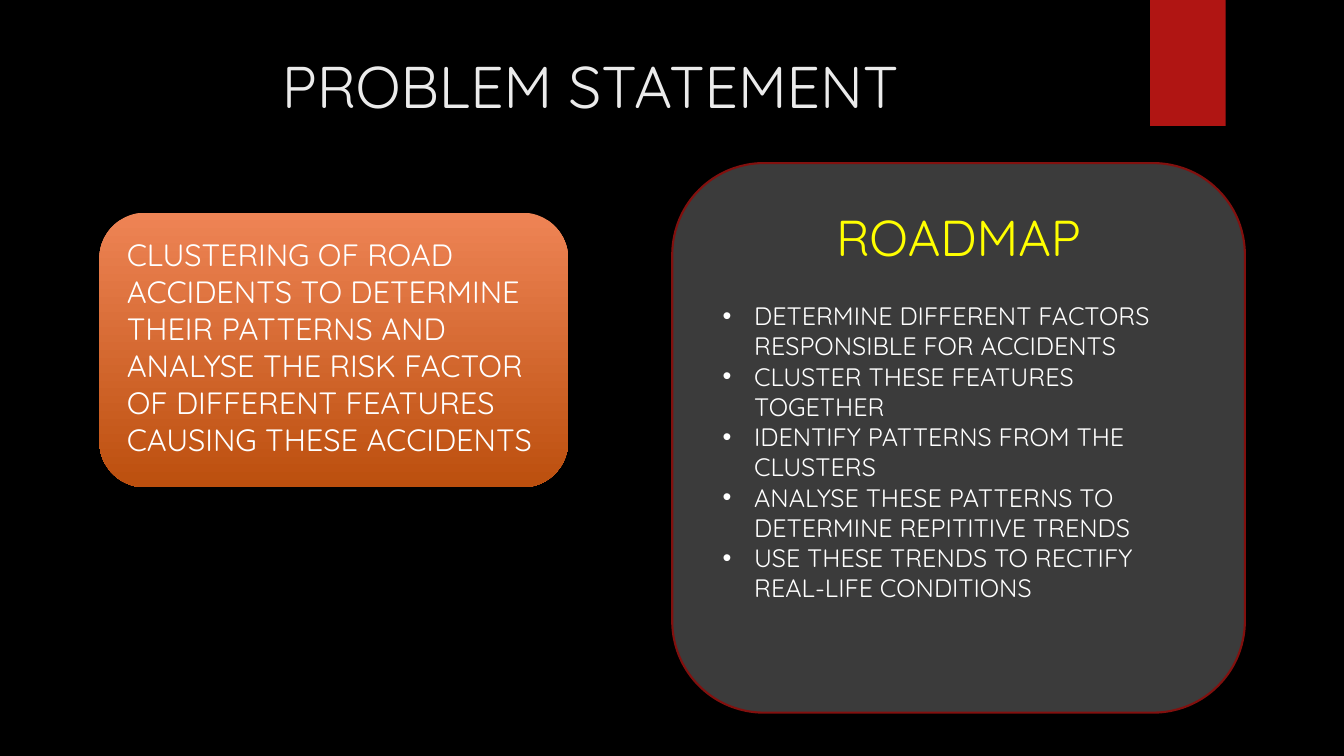
"""Build the problem statement slide with its roadmap panel."""
from dataclasses import dataclass
from typing import NamedTuple, Optional

from pptx import Presentation
from pptx.dml.color import RGBColor
from pptx.enum.shapes import MSO_SHAPE
from pptx.enum.text import MSO_ANCHOR, MSO_AUTO_SIZE, PP_ALIGN
from pptx.shapes.base import BaseShape
from pptx.slide import Slide
from pptx.util import Pt

RECTANGLE = MSO_SHAPE.RECTANGLE
ROUNDED = MSO_SHAPE.ROUNDED_RECTANGLE
TOP = MSO_ANCHOR.TOP
NO_AUTOFIT = MSO_AUTO_SIZE.NONE
LEFT = PP_ALIGN.LEFT
CENTER = PP_ALIGN.CENTER


@dataclass(frozen=True)
class Theme:
    font: str = "Quicksand"
    background: str = "000000"
    ribbon: str = "B01513"
    statement_top: str = "EE8455"
    statement_bottom: str = "BC4F0E"
    panel: str = "3B3B3B"
    panel_border: str = "82100E"
    title: str = "EBEBEB"
    text: str = "FFFFFF"
    heading: str = "FFFF00"
    title_size: float = 42
    heading_size: float = 36
    statement_size: float = 22
    list_size: float = 18
    border_width: float = 1.5
    bullet_indent: float = 22.5


class Box(NamedTuple):
    left: float
    top: float
    width: float
    height: float


class Panel(NamedTuple):
    preset: int
    box: Box
    colors: tuple[str, ...]
    border: Optional[str] = None


class Copy(NamedTuple):
    box: Box
    paragraphs: tuple[str, ...]
    size: float
    color: str
    alignment: int = LEFT
    bulleted: bool = False


THEME = Theme()

PANELS = (
    Panel(RECTANGLE, Box(821.5, 0, 54, 90), (THEME.ribbon,)),
    Panel(ROUNDED, Box(71, 151.9, 334.8, 196.2),
          (THEME.statement_top, THEME.statement_bottom)),
    Panel(ROUNDED, Box(480.2, 116.5, 409, 392.5), (THEME.panel,), THEME.panel_border),
)

TITLE = Copy(Box(51, 31.7, 741, 110), ("PROBLEM STATEMENT",),
             THEME.title_size, THEME.title, CENTER)
ROADMAP_STEPS = Copy(
    Box(509, 211, 335, 225.4),
    (
        "DETERMINE DIFFERENT FACTORS RESPONSIBLE FOR ACCIDENTS",
        "CLUSTER THESE FEATURES TOGETHER",
        "IDENTIFY PATTERNS FROM THE CLUSTERS",
        "ANALYSE THESE PATTERNS TO DETERMINE REPITITIVE TRENDS",
        "USE THESE TRENDS TO RECTIFY REAL-LIFE CONDITIONS",
    ),
    THEME.list_size, THEME.text, bulleted=True,
)
CAPTIONS = (
    Copy(Box(83.5, 164.9, 322.6, 189.4),
         ("CLUSTERING OF ROAD ACCIDENTS TO DETERMINE THEIR PATTERNS AND ANALYSE "
          "THE RISK FACTOR OF DIFFERENT FEATURES CAUSING THESE ACCIDENTS",),
         THEME.statement_size, THEME.text),
    Copy(Box(557.3, 144, 254.9, 51), ("ROADMAP",),
         THEME.heading_size, THEME.heading, CENTER),
)


def apply(target: object, values: dict[str, object]) -> None:
    for attribute, value in values.items():
        setattr(target, attribute, value)


def rgb(color: str) -> RGBColor:
    return RGBColor.from_string(color)


def add_panel(slide: Slide, panel: Panel) -> None:
    shape = slide.shapes.add_shape(panel.preset, *map(Pt, panel.box))
    shape.shadow.inherit = False
    if len(panel.colors) > 1:
        shape.fill.gradient()
        shape.fill.gradient_angle = 270
        for stop, color in zip(shape.fill.gradient_stops, panel.colors):
            stop.color.rgb = rgb(color)
    else:
        shape.fill.solid()
        shape.fill.fore_color.rgb = rgb(panel.colors[0])
    if panel.border:
        shape.line.color.rgb = rgb(panel.border)
        shape.line.width = Pt(THEME.border_width)
    else:
        shape.line.fill.background()


def write_copy(shape: BaseShape, copy: Copy) -> None:
    apply(shape, dict(zip(Box._fields, map(Pt, copy.box))))
    frame = shape.text_frame
    frame.text = "\n".join(copy.paragraphs)
    apply(frame, {"word_wrap": True, "auto_size": NO_AUTOFIT, "vertical_anchor": TOP})
    for paragraph in frame.paragraphs:
        apply(paragraph, {"alignment": copy.alignment, "space_before": Pt(0)})
        for run in paragraph.runs:
            apply(run.font, {"name": THEME.font, "size": Pt(copy.size)})
            run.font.color.rgb = rgb(copy.color)
        if copy.bulleted:
            indent = Pt(THEME.bullet_indent)
            properties = paragraph._p.get_or_add_pPr()
            properties.set("marL", str(indent))
            properties.set("indent", str(-indent))


def main() -> None:
    presentation = Presentation()
    apply(presentation, {"slide_width": Pt(960), "slide_height": Pt(540)})
    slide = presentation.slides.add_slide(presentation.slide_layouts[1])
    slide.background.fill.solid()
    slide.background.fill.fore_color.rgb = rgb(THEME.background)

    for panel in PANELS:
        add_panel(slide, panel)
    write_copy(slide.shapes.title, TITLE)
    roadmap = slide.placeholders[1]
    write_copy(roadmap, ROADMAP_STEPS)
    roadmap.element.getparent().append(roadmap.element)
    for caption in CAPTIONS:
        write_copy(slide.shapes.add_textbox(*map(Pt, caption.box)), caption)

    presentation.save("out.pptx")


if __name__ == "__main__":
    main()
